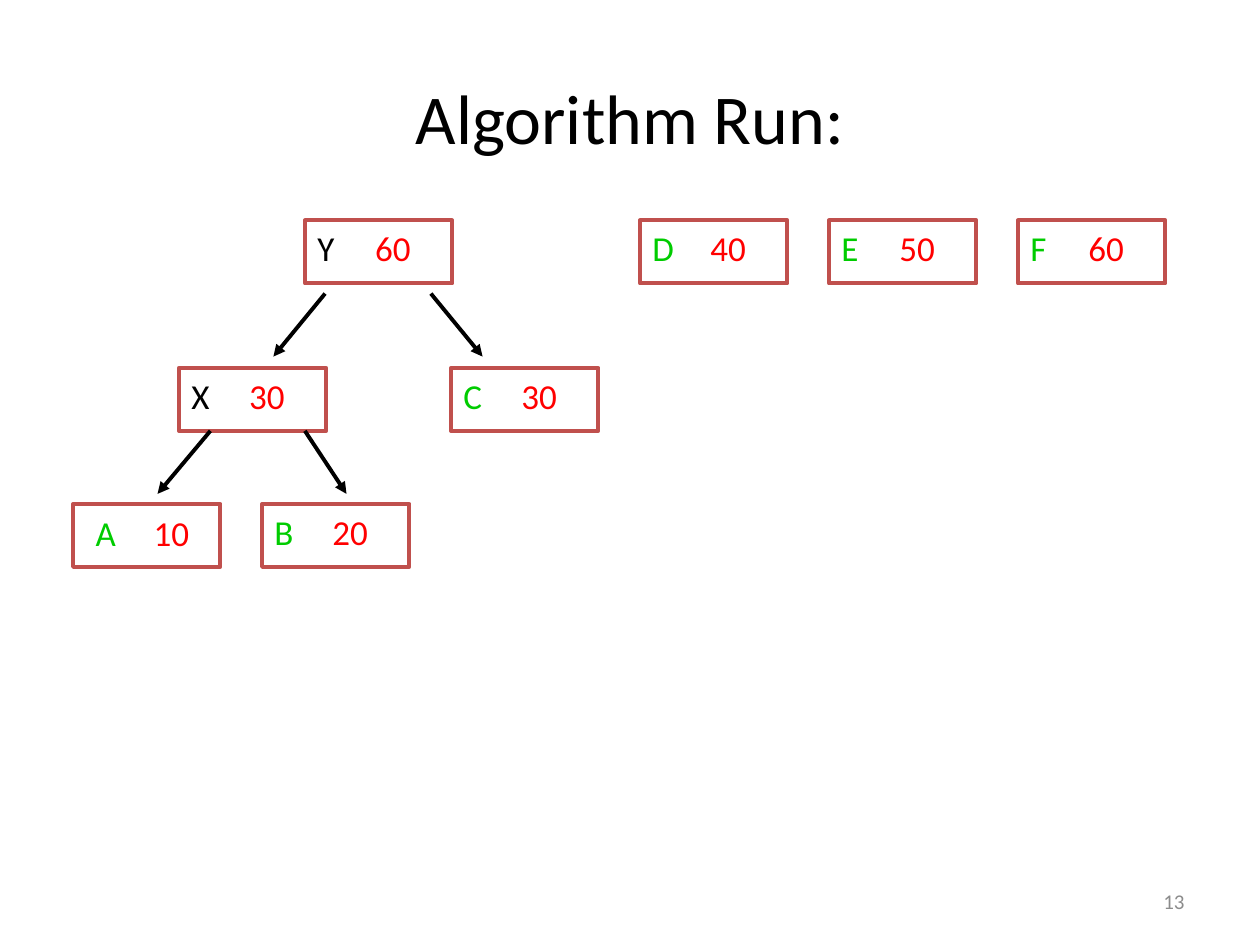
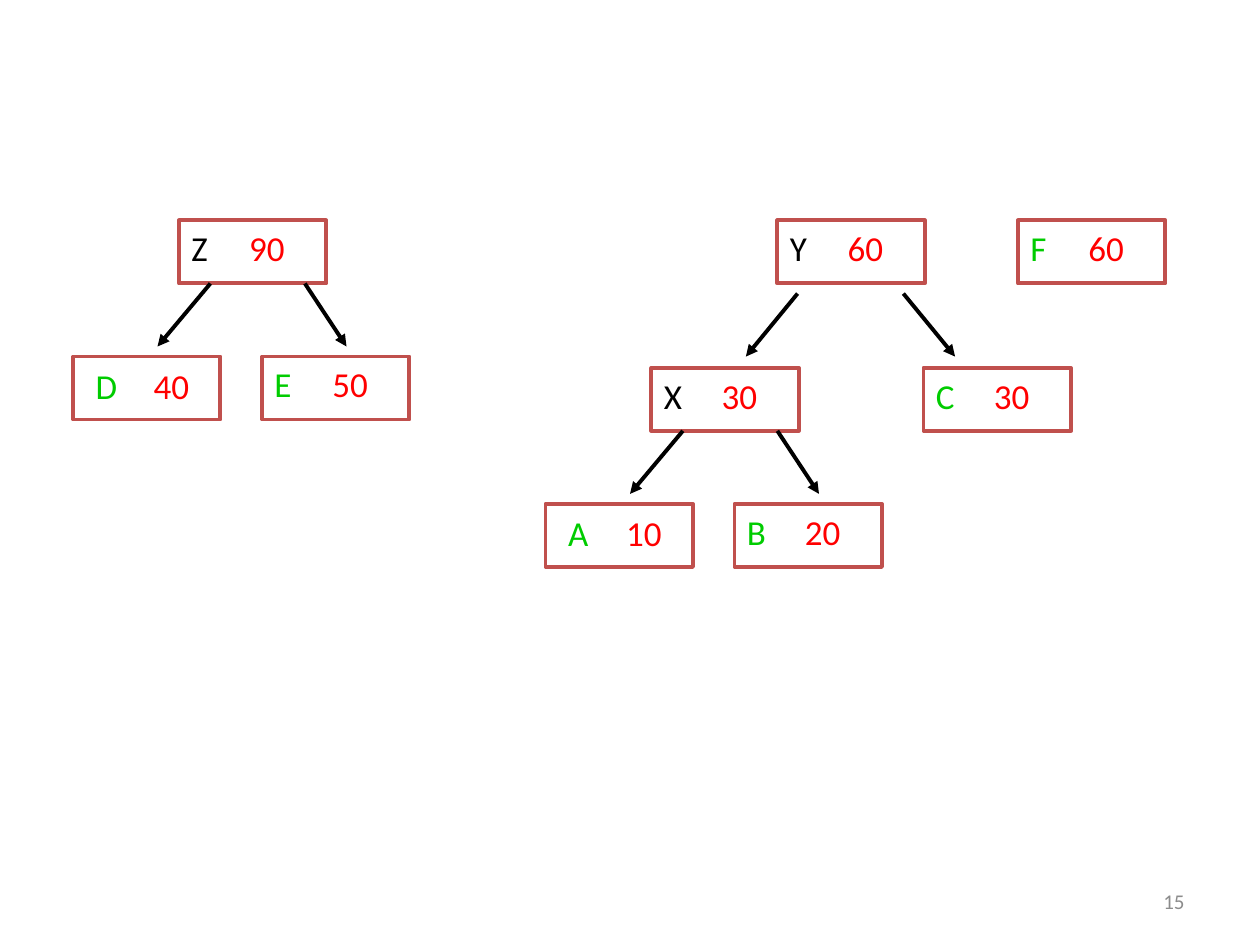
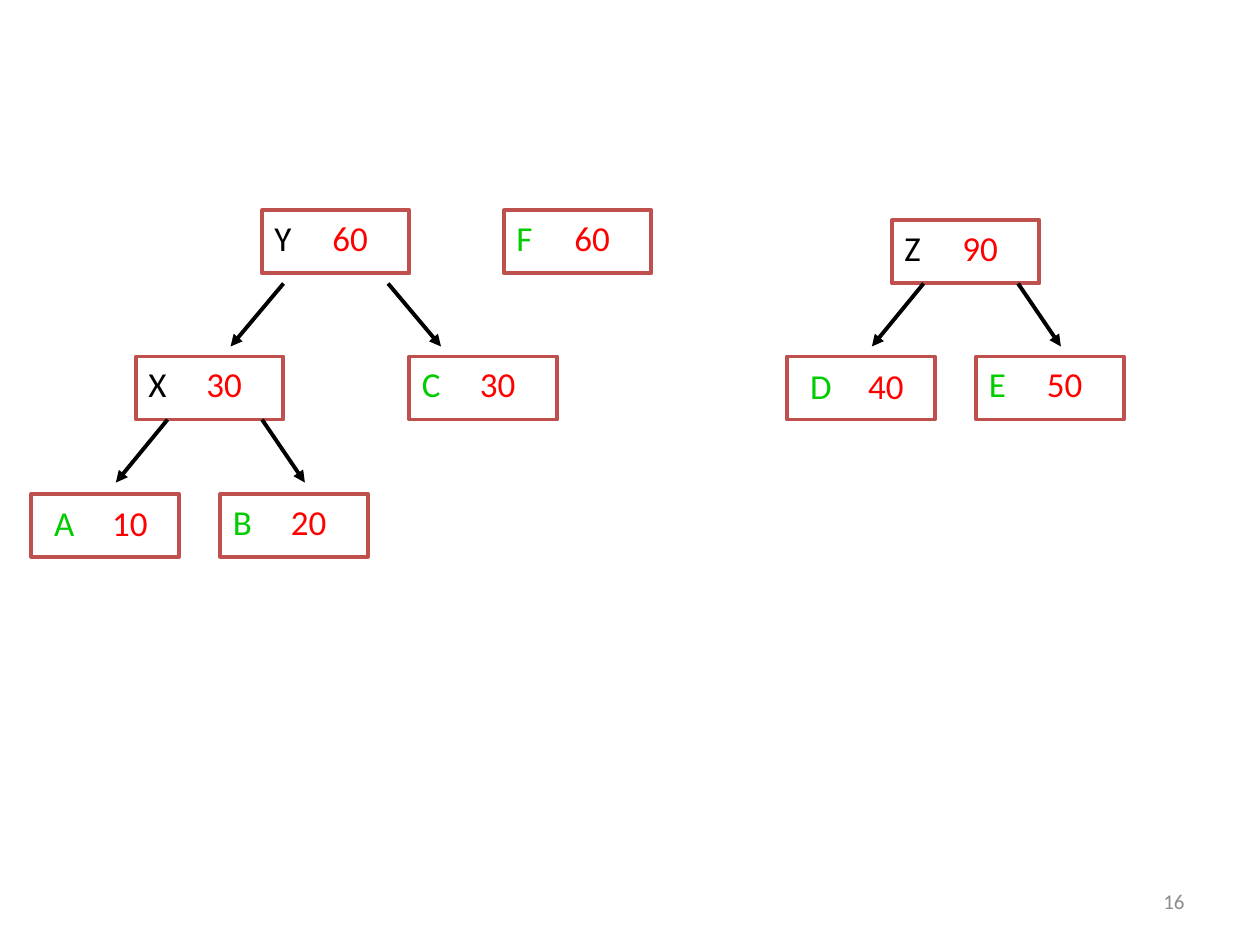
from lxml import etree
from pptx import Presentation
from pptx.dml.color import RGBColor
from pptx.enum.shapes import MSO_CONNECTOR, MSO_SHAPE
from pptx.enum.text import MSO_ANCHOR, PP_ALIGN
from pptx.oxml.ns import qn
from pptx.util import Inches, Pt

RECT, LINE = MSO_SHAPE.RECTANGLE, MSO_CONNECTOR.STRAIGHT
TOP, MIDDLE = MSO_ANCHOR.TOP, MSO_ANCHOR.MIDDLE
LEFT, CENTER, RIGHT = PP_ALIGN.LEFT, PP_ALIGN.CENTER, PP_ALIGN.RIGHT

FONT = "Calibri"
BLACK, GREEN, RED, FRAME, GREY = "000000", "00CC00", "FF0000", "C0504D", "8C8C8C"

# A tree is a leaf name or (root, left, right).
X = ("X", "A", "B")
Y = ("Y", X, "C")
Z = ("Z", "D", "E")
WEIGHTS = {"A": 10, "B": 20, "C": 30, "D": 40, "E": 50, "F": 60,
           "X": 30, "Y": 60, "Z": 90}

# Page number, title, and trees with the column and row of each root.
SLIDES = [
    (13, "Algorithm Run:", [(Y, 29, 21), ("D", 61, 21), ("E", 79, 21), ("F", 97, 21)]),
    (15, None, [(Z, 17, 21), (Y, 74, 21), ("F", 97, 21)]),
    (16, None, [(Y, 25, 20), ("F", 48, 20), (Z, 85, 21)]),
]

# Grid cells per inch; box size in cells.
CELLS = 12
BOX_W, BOX_H = 14, 6
# Offsets from the root, left then right: child, arrow start, arrow end.
NEAR = [((-10, 13), (3, 6), (-2, 12)), ((8, 13), (12, 6), (16, 12))]
WIDE = [((-12, 14), (2, 7), (-3, 13)), ((14, 14), (12, 7), (17, 13))]


def paint(color, code):
    color.rgb = RGBColor.from_string(code)


def grid(*cells):
    return [Inches(round(c / CELLS, 2)) for c in cells]


def style(para, size, align):
    para.font.name, para.font.size, para.alignment = FONT, Pt(size), align


def add_label(slide, text, place, size, align, code):
    frame = slide.shapes.add_textbox(*map(Inches, place)).text_frame
    frame.word_wrap, frame.vertical_anchor = True, MIDDLE
    para = frame.paragraphs[0]
    para.text = text
    style(para, size, align)
    paint(para.font.color, code)


def add_node(slide, name, col, row, code, nudge):
    """Draw a box with a name and its weight; nudge moves the text right and down."""
    box = slide.shapes.add_shape(RECT, *grid(col, row, BOX_W, BOX_H))
    box.shadow.inherit = False
    box.fill.background()
    paint(box.line.color, FRAME)
    box.line.width = Pt(2.25)

    frame = box.text_frame
    frame.word_wrap, frame.vertical_anchor = True, TOP
    frame.margin_left = Inches(0.18 if nudge else 0.1)
    frame.margin_top = Inches(0.06 if nudge else 0.05)
    frame.margin_right = 0
    para = frame.paragraphs[0]
    style(para, 20, LEFT)
    tabs = etree.Element(qn("a:tabLst"))
    etree.SubElement(tabs, qn("a:tab"), pos=str(Inches(0.46)), algn="l")
    para._p.get_or_add_pPr().insert(0, tabs)
    for text, shade in ((f"{name}\t", code), (str(WEIGHTS[name]), RED)):
        run = para.add_run()
        run.text = text
        paint(run.font.color, shade)


def add_arrow(slide, start, end):
    arrow = slide.shapes.add_connector(LINE, *grid(*start, *end))
    paint(arrow.line.color, BLACK)
    arrow.line.width = Pt(2.25)
    etree.SubElement(arrow.line._get_or_add_ln(), qn("a:tailEnd"), type="triangle")
    etree.SubElement(arrow._element.spPr, qn("a:effectLst"))


def add_tree(slide, tree, col, row, nudge=False):
    if isinstance(tree, str):
        add_node(slide, tree, col, row, GREEN, nudge)
        return
    name, *kids = tree
    add_node(slide, name, col, row, BLACK, False)
    leaves = all(isinstance(kid, str) for kid in kids)
    for side, (kid, steps) in enumerate(zip(kids, NEAR if leaves else WIDE)):
        child, start, end = [(col + dx, row + dy) for dx, dy in steps]
        add_tree(slide, kid, *child, nudge=side == 0)
        add_arrow(slide, start, end)


def main():
    deck = Presentation()
    deck.slide_width, deck.slide_height = Inches(10), Inches(7.5)
    for page, title, trees in SLIDES:
        slide = deck.slides.add_slide(deck.slide_layouts[6])
        if title:
            add_label(slide, title, (0.5, 0.3, 9, 1.25), 40, CENTER, BLACK)
        for tree, col, row in trees:
            add_tree(slide, tree, col, row)
        add_label(slide, str(page), (7.17, 6.95, 2.33, 0.4), 12, RIGHT, GREY)
    deck.save("out.pptx")


if __name__ == "__main__":
    main()
